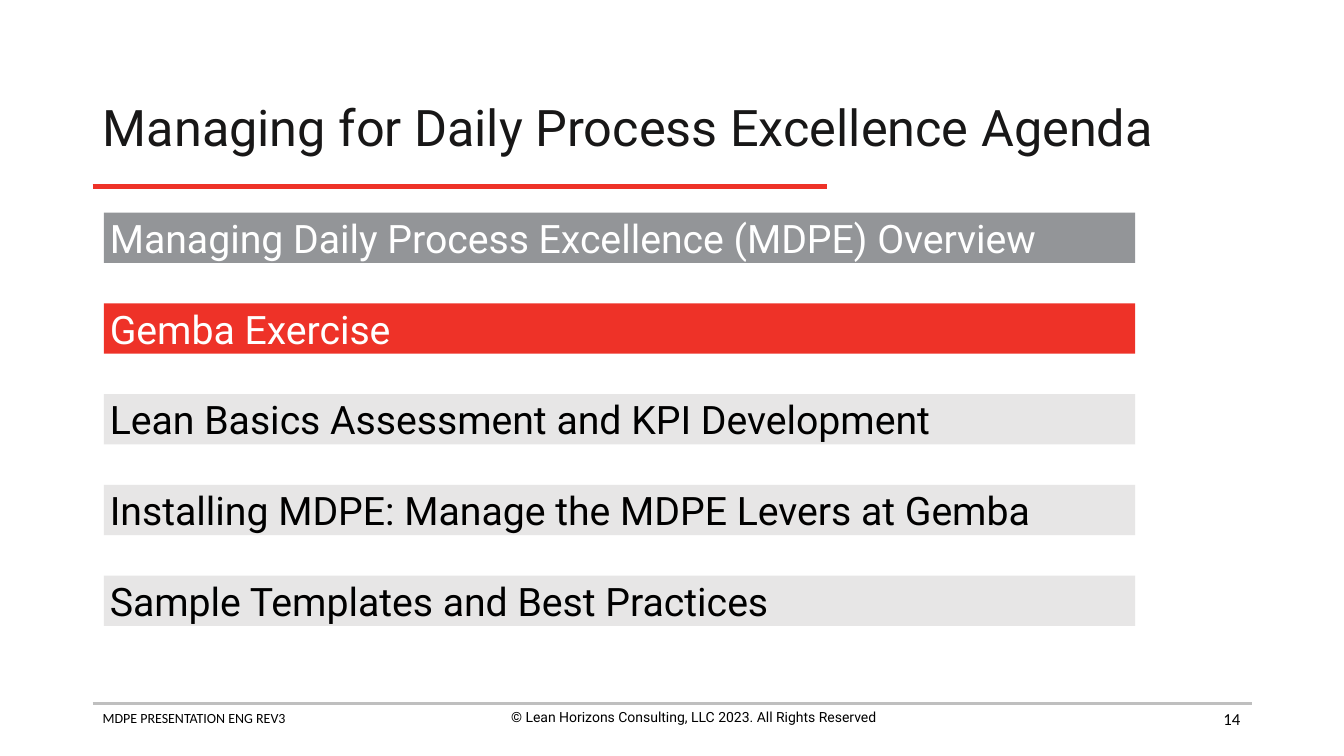
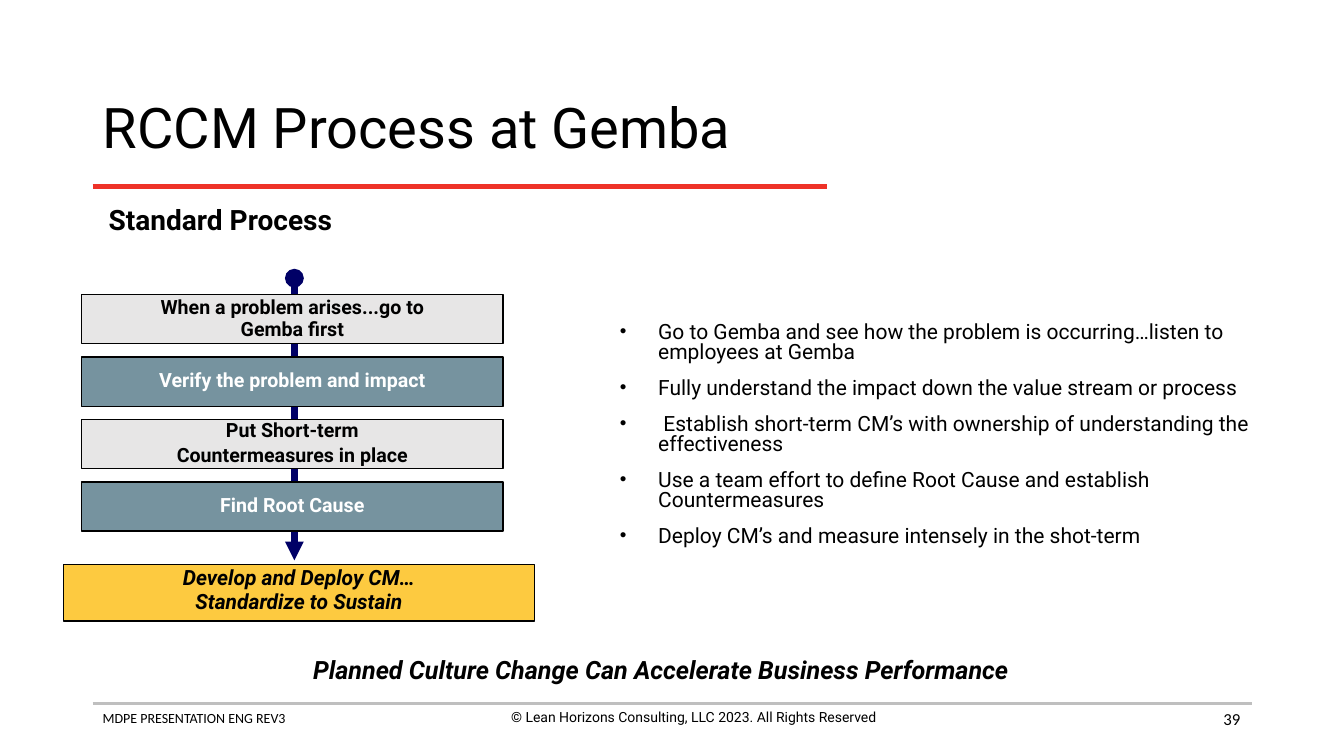
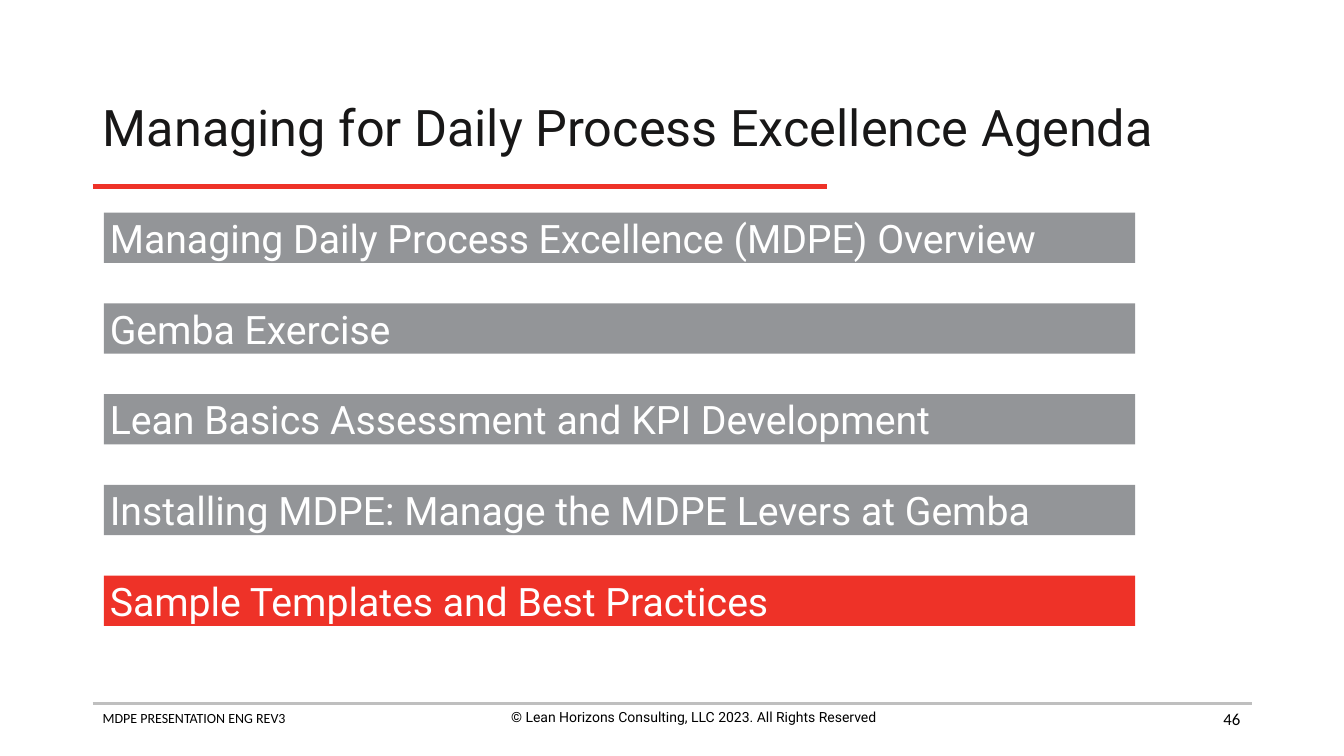
from pptx import Presentation
from pptx.dml.color import RGBColor
from pptx.enum.shapes import MSO_CONNECTOR as Link, MSO_SHAPE as Shape
from pptx.enum.text import MSO_ANCHOR as Anchor, MSO_AUTO_SIZE as Fit, PP_ALIGN as Align
from pptx.oxml.ns import qn
from pptx.util import Inches, Pt
from lxml.etree import SubElement

color = RGBColor.from_string
FONT = "Roboto"
BLACK, WHITE, INK = "000000", "FFFFFF", "181717"
RED, GRAY, PALE = "EE3228", "939598", "E7E6E6"
STEEL, GOLD, NAVY, SILVER = "76939F", "FDCA40", "000066", "BFBFBF"


def put(slide, at, lines, size, ink=BLACK, fill=None, edge=None, font=FONT,
        bold=False, italic=False, align=Align.LEFT, anchor=Anchor.TOP,
        inset=None, lead=1.0, before=0, after=0):
    """Add a filled box, or a plain text box without fill; return its text frame."""
    area = [Inches(n) for n in at]
    if fill:
        box = slide.shapes.add_shape(Shape.RECTANGLE, *area)
        box.shadow.inherit = False
        box.fill.solid()
        box.fill.fore_color.rgb = color(fill)
        if edge:
            box.line.color.rgb = color(edge)
            box.line.width = Pt(1)
        else:
            box.line.fill.background()
    else:
        box = slide.shapes.add_textbox(*area)
    frame = box.text_frame
    frame.word_wrap = True
    frame.vertical_anchor = anchor
    if inset is not None:
        frame.margin_left = frame.margin_right = Inches(inset)
        frame.margin_top = frame.margin_bottom = Inches(inset)
    for i, line in enumerate(lines):
        para = frame.add_paragraph() if i else frame.paragraphs[0]
        para.alignment = align
        para.line_spacing = lead
        para.space_before = Pt(before if i else 0)
        para.space_after = Pt(after)
        for j, part in enumerate(line.split("\n")):
            if j:
                para.add_line_break()
            run = para.add_run()
            run.text = part
            run.font.name = font
            run.font.size = Pt(size)
            run.font.bold = bold
            run.font.italic = italic
            run.font.color.rgb = color(ink)
    return frame


def rule(slide, x1, y1, x2, y2, ink, width):
    """Add a straight line without shadow."""
    line = slide.shapes.add_connector(
        Link.STRAIGHT, Inches(x1), Inches(y1), Inches(x2), Inches(y2))
    line.line.color.rgb = color(ink)
    line.line.width = Pt(width)
    SubElement(line._element.spPr, qn("a:effectLst"))
    return line


deck = Presentation()
deck.slide_width = Inches(13.33)
deck.slide_height = Inches(7.5)

# Title, rules and footer of every slide
AGENDA = "Managing for Daily Process Excellence Agenda"
slides = []
for name, size, ink, page in [
    (AGENDA, 36, INK, "14"),
    ("RCCM Process at Gemba", 40, BLACK, "39"),
    (AGENDA, 36, INK, "46"),
]:
    slide = deck.slides.add_slide(deck.slide_layouts[5])
    slides.append(slide)
    rule(slide, 0.92, 6.98, 12.42, 6.98, SILVER, 2)
    put(slide, (0.92, 6.99, 4.56, 0.44), ["MDPE PRESENTATION ENG REV3"], 10, font="Calibri")
    put(slide, (4.6, 6.98, 4.56, 0.44),
        ["© Lean Horizons Consulting, LLC 2023. All Rights Reserved"], 10, align=Align.CENTER)
    put(slide, (9.4, 6.93, 3, 0.4), [page], 12, font="Calibri",
        align=Align.RIGHT, anchor=Anchor.MIDDLE)
    rule(slide, 0.92, 1.85, 8.2, 1.85, RED, 3)

    title = slide.shapes.title
    title.left, title.top = Inches(0.92), Inches(0.74)
    title.width, title.height = Inches(11.5), Inches(1.1)
    frame = title.text_frame
    frame.auto_size = Fit.NONE
    frame.vertical_anchor = Anchor.MIDDLE
    para = frame.paragraphs[0]
    para.alignment = Align.LEFT
    para.line_spacing = 0.9
    run = para.add_run()
    run.text = name
    run.font.name = FONT
    run.font.size = Pt(size)
    run.font.color.rgb = color(ink)

# Agenda slides: done topics gray, the current one red, later ones pale
topics = [
    "Managing Daily Process Excellence (MDPE) Overview",
    "Gemba Exercise",
    "Lean Basics Assessment and KPI Development",
    "Installing MDPE: Manage the MDPE Levers at Gemba",
    "Sample Templates and Best Practices",
]
for slide, now in [(slides[0], 1), (slides[2], 4)]:
    for i, topic in enumerate(topics):
        fill = GRAY if i < now else RED if i == now else PALE
        put(slide, (1.03, 2.11 + 0.9 * i, 10.23, 0.5), [topic], 28,
            ink=BLACK if i > now else WHITE, fill=fill,
            anchor=Anchor.MIDDLE, inset=0.06)

# Process slide: flow on the left
slide = slides[1]
put(slide, (0.98, 2.02, 3, 0.37), ["Standard Process"], 20, bold=True, lead=0.8)
arrow = rule(slide, 2.92, 2.76, 2.92, 5.56, NAVY, 4.5)
ends = arrow.line._get_or_add_ln()
SubElement(ends, qn("a:headEnd"), type="oval")
SubElement(ends, qn("a:tailEnd"), type="triangle")

steps = [
    ["When a problem arises...go to\nGemba first"],
    ["Verify the problem and impact"],
    ["Put Short-term", "Countermeasures in place"],
    ["Find Root Cause"],
]
for i, step in enumerate(steps):
    fill, ink = [(PALE, BLACK), (STEEL, WHITE)][i % 2]
    put(slide, (0.81, 2.92 + 0.62 * i, 4.18, 0.49), step, 14, ink=ink, fill=fill,
        edge=BLACK, bold=True, align=Align.CENTER, anchor=Anchor.MIDDLE,
        lead=0.9, before=2.8)
put(slide, (0.63, 5.6, 4.67, 0.56), ["Develop and Deploy CM…", "Standardize to Sustain"], 15,
    fill=GOLD, edge=BLACK, bold=True, italic=True, align=Align.CENTER, lead=0.8, before=3)

# Process slide: notes on the right and closing line
hints = put(slide, (6.05, 3.16, 6.7, 2.53), [
    "Go to Gemba and see how the problem is occurring…listen to employees at Gemba",
    "Fully understand the impact down the value stream or process",
    " Establish short-term CM’s with ownership of understanding the effectiveness",
    "Use a team effort to define Root Cause and establish Countermeasures",
    "Deploy CM’s and measure intensely in the shot-term",
], 15, lead=0.8, before=8.25, after=3)
for para in hints.paragraphs:
    props = para._p.get_or_add_pPr()
    props.set("marL", str(Inches(0.38)))
    props.set("indent", str(-Inches(0.38)))
    SubElement(SubElement(props, qn("a:buClr")), qn("a:srgbClr"), val=BLACK)
    SubElement(props, qn("a:buSzPct"), val="90000")
    SubElement(props, qn("a:buFont"), typeface="Arial")
    SubElement(props, qn("a:buChar"), char="•")
put(slide, (2.9, 6.5, 7.31, 0.35),
    ["Planned Culture Change Can Accelerate Business Performance"], 18,
    bold=True, italic=True, align=Align.CENTER, lead=0.8)

deck.save("out.pptx")
